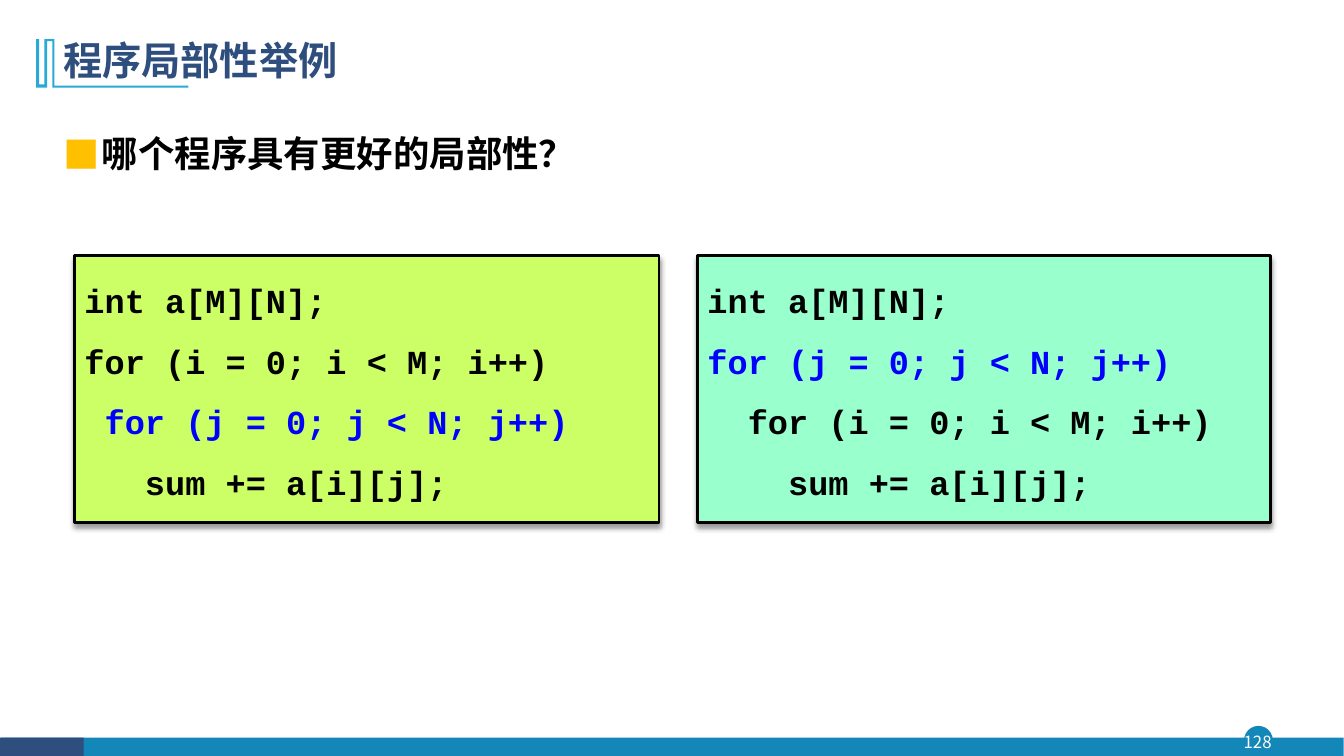
from lxml import etree
from pptx import Presentation
from pptx.dml.color import RGBColor
from pptx.enum.shapes import MSO_SHAPE
from pptx.enum.text import MSO_ANCHOR, PP_ALIGN
from pptx.oxml import parse_xml
from pptx.oxml.ns import nsdecls, qn
from pptx.util import Cm, Pt

RECT, OVAL = MSO_SHAPE.RECTANGLE, MSO_SHAPE.OVAL
MIDDLE, TOP = MSO_ANCHOR.MIDDLE, MSO_ANCHOR.TOP
CENTER, JUSTIFY, LEFT = PP_ALIGN.CENTER, PP_ALIGN.JUSTIFY, PP_ALIGN.LEFT

# Content
TITLE = "程序局部性举例"
QUESTION = "哪个程序具有更好的局部性？"
PAGE = "128"
# Each program: left, width, fill, wraps, lines of (code, colour)
PROGRAMS = [
    (1.88, 14.73, "lime", True, [
        ("int a[M][N];", "black"),
        ("for (i = 0; i < M; i++)", "black"),
        (" for (j = 0; j < N; j++)", "blue"),
        ("   sum += a[i][j];", "black"),
    ]),
    (17.58, 14.45, "mint", False, [
        ("int a[M][N];", "black"),
        ("for (j = 0; j < N; j++)", "blue"),
        ("  for (i = 0; i < M; i++)", "black"),
        ("    sum += a[i][j];", "black"),
    ]),
]
PROGRAM_TOP, PROGRAM_HEIGHT = 6.43, 6.73

COLORS = {
    "white": "FFFFFF", "black": "000000", "blue": "0000FF", "navy": "2E4E7E",
    "teal": "1387B7", "sky": "28A9D6", "gold": "FFC000",
    "lime": "CCFF66", "mint": "99FFCC",
}
SANS, MONO = "Noto Sans CJK SC", "Courier New"

# Outline of the title mark
MARK = [
    (1.37, 0.99), (1.37, 2.16), (4.75, 2.16), (4.75, 2.21), (1.32, 2.21),
    (1.32, 1.04), (1.19, 1.04), (1.19, 2.21), (0.91, 2.21), (0.91, 0.99),
    (0.99, 0.99), (0.99, 2.13), (1.12, 2.13), (1.12, 0.99),
]

prs = Presentation()
prs.slide_width, prs.slide_height = Cm(33.87), Cm(19.05)
slide = prs.slides.add_slide(prs.slide_layouts[6])


def rgb(name):
    return RGBColor.from_string(COLORS[name])


def paint(shape, fill, line=None, width=1):
    shape.shadow.inherit = False
    shape.fill.solid()
    shape.fill.fore_color.rgb = rgb(fill)
    if line:
        shape.line.color.rgb = rgb(line)
        shape.line.width = Pt(width)
    else:
        shape.line.fill.background()


def add_block(kind, box, fill, line=None, width=1):
    block = slide.shapes.add_shape(kind, *map(Cm, box))
    paint(block, fill, line, width)
    return block


def write(paragraph, text, size, color, font=SANS, bold=True, align=LEFT, spacing=1.0):
    paragraph.alignment = align
    paragraph.line_spacing = spacing
    paragraph.add_run().text = text
    paragraph.font.size = Pt(size)
    paragraph.font.bold = bold
    paragraph.font.color.rgb = rgb(color)
    paragraph.font.name = font
    defaults = paragraph.font._element
    etree.SubElement(defaults, qn("a:ea"), typeface=font)
    # Runs carry the same character settings as their paragraph
    run_font = paragraph.runs[0].font
    run_font.size, run_font.bold, run_font.name = Pt(size), bold, font
    run_font.color.rgb = rgb(color)
    etree.SubElement(run_font._element, qn("a:ea"), typeface=font)


def add_label(box, anchor):
    frame = slide.shapes.add_textbox(*map(Cm, box)).text_frame
    frame.word_wrap = True
    frame.vertical_anchor = anchor
    return frame


def add_bullet(paragraph, indent):
    props = paragraph._p.get_or_add_pPr()
    props.set("marL", str(Cm(indent)))
    props.set("indent", str(-Cm(indent)))
    color = etree.SubElement(props, qn("a:buClr"))
    etree.SubElement(color, qn("a:srgbClr"), val=COLORS["gold"])
    etree.SubElement(props, qn("a:buFont"), typeface=SANS)
    etree.SubElement(props, qn("a:buChar"), char="■")


def drop_shadow(shape):
    props = shape._element.spPr
    props.remove(props.find(qn("a:effectLst")))
    props.append(parse_xml(
        f'<a:effectLst {nsdecls("a")}><a:outerShdw blurRad="{Pt(4)}" dist="{Pt(3)}" '
        f'dir="5400000" rotWithShape="0"><a:srgbClr val="{COLORS["black"]}">'
        '<a:alpha val="40000"/></a:srgbClr></a:outerShdw></a:effectLst>'))


# Footer with page number
add_block(OVAL, (31.37, 18.31, 0.69, 0.69), "teal", "teal")
add_block(RECT, (0.03, 18.59, 33.83, 0.48), "teal")
add_block(RECT, (0, 18.59, 2.11, 0.48), "navy")
page = add_label((31.29, 18.31, 0.81, 0.79), MIDDLE)
page.margin_left = page.margin_right = page.margin_top = page.margin_bottom = 0
write(page.paragraphs[0], PAGE, 12, "white", bold=False, align=CENTER)

# Title mark and title
start, *rest = [(Cm(x), Cm(y)) for x, y in MARK]
outline = slide.shapes.build_freeform(*start)
outline.add_line_segments(rest, close=True)
paint(outline.convert_to_shape(), "sky")
title = add_label((1.35, 0.71, 29.21, 1.73), MIDDLE)
write(title.paragraphs[0], TITLE, 28, "navy", spacing=0.9)

# Question
question = add_label((1.35, 2.62, 29.21, 15.6), TOP).paragraphs[0]
add_bullet(question, 0.97)
write(question, QUESTION, 26, "black", align=JUSTIFY, spacing=1.5)

# Programs side by side
for left, width, fill, wraps, lines in PROGRAMS:
    program = add_block(RECT, (left, PROGRAM_TOP, width, PROGRAM_HEIGHT), fill, "black", 2)
    drop_shadow(program)
    frame = program.text_frame
    frame.word_wrap = wraps
    frame.vertical_anchor = TOP
    for i, (code, color) in enumerate(lines):
        paragraph = frame.add_paragraph() if i else frame.paragraphs[0]
        write(paragraph, code, 24, color, MONO, spacing=1.5)

prs.save("out.pptx")
